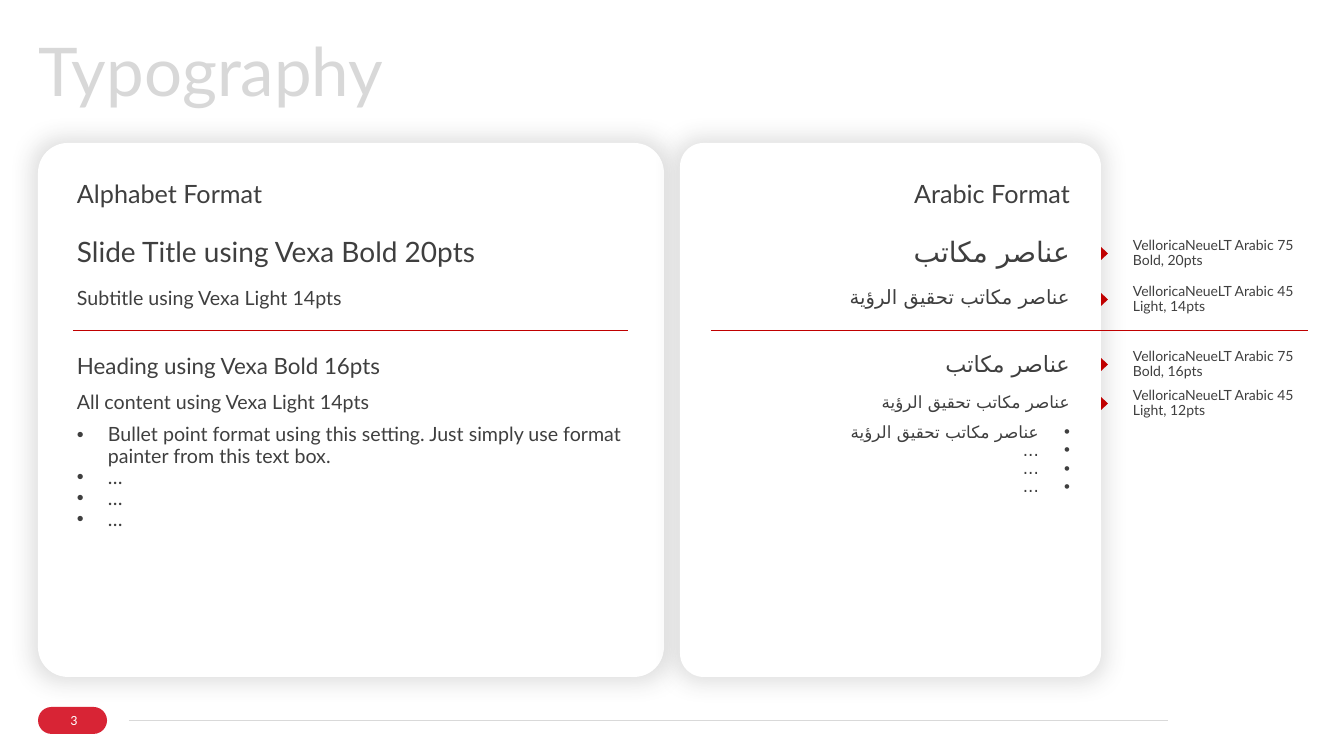
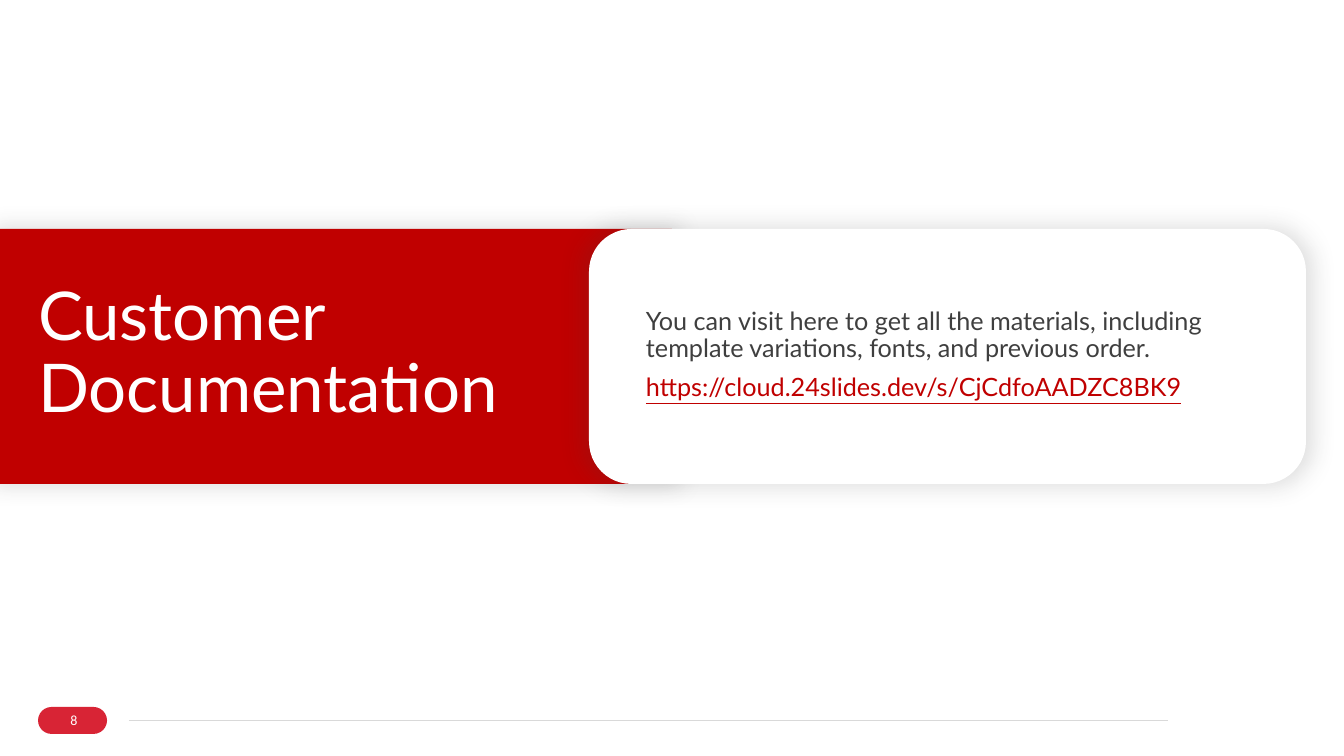
from lxml import etree
from pptx import Presentation
from pptx import util as u
from pptx.dml.color import RGBColor
from pptx.enum import shapes, text
from pptx.oxml import ns

PX = 914400 / 100.8
COLORS = {
    "ink": "3F3F3F", "red": "C00000", "pill": "D82435",
    "title": "D8D8D8", "rule": "D9D9D9", "white": "FFFFFF",
}
LATIN, ARABIC, ARABIC_SCRIPT = "Lato", "Roboto", "DejaVu Sans"
LEFT, CENTER, RIGHT = text.PP_ALIGN.LEFT, text.PP_ALIGN.CENTER, text.PP_ALIGN.RIGHT
TOP, MIDDLE = text.MSO_ANCHOR.TOP, text.MSO_ANCHOR.MIDDLE
MARGIN = 38
INDENT = 31
CARD_RADIUS = 0.056
# Row tops and the rule are measured from the top of a card.
RULE_TOP = 187
LABEL_LEFT, LABEL_WIDTH, LABEL_HEIGHT = 1133, 172, 31

ALPHABET_ROWS = [
    (39, 28, "Alphabet Format", 18),
    (95, 31, "Slide Title using Vexa Bold 20pts", 20),
    (146, 22, "Subtitle using Vexa Light 14pts", 14),
    (212, 25, "Heading using Vexa Bold 16pts", 16),
    (250, 22, "All content using Vexa Light 14pts", 14),
]
ALPHABET_BULLETS = (282, 108, [
    "Bullet point format using this setting. Just simply use format painter from this text box.",
    "…", "…", "…"], 14)
ARABIC_ROWS = [
    (39, 28, "Arabic Format", 18, LATIN),
    (95, 31, "عناصر مكاتب", 20, ARABIC),
    (145, 22, "عناصر مكاتب تحقيق الرؤية", 14, ARABIC),
    (210, 25, "عناصر مكاتب", 16, LATIN),
    (251, 19, "عناصر مكاتب تحقيق الرؤية", 12, ARABIC),
]
ARABIC_BULLETS = (281, 74, ["عناصر مكاتب تحقيق الرؤية", "...", "...", "..."], 12)
# Middle of each label, measured from the top of the card.
FONT_LABELS = [
    (110, "VelloricaNeueLT Arabic 75 Bold, 20pts"),
    (156, "VelloricaNeueLT Arabic 45 Light, 14pts"),
    (221, "VelloricaNeueLT Arabic 75 Bold, 16pts"),
    (260, "VelloricaNeueLT Arabic 45 Light, 12pts"),
]


def px(length):
    return u.Emu(round(length * PX))


def rgb(name):
    return RGBColor.from_string(COLORS[name])


def add_bullet(para, rtl):
    props = para._p.get_or_add_pPr()
    props.set("marL", str(px(INDENT)))
    props.set("indent", str(-px(INDENT)))
    if rtl:
        props.set("rtl", "1")
    etree.SubElement(props, ns.qn("a:buFont"), typeface="Arial")
    etree.SubElement(props, ns.qn("a:buChar"), char="•")


def fill_text(shape, lines, size, color="ink", font=LATIN, align=LEFT, anchor=TOP,
              bullets=False, underline=None, grow=True):
    frame = shape.text_frame
    frame.word_wrap = True
    frame.auto_size = (text.MSO_AUTO_SIZE.SHAPE_TO_FIT_TEXT if grow
                       else text.MSO_AUTO_SIZE.NONE)
    frame.vertical_anchor = anchor
    frame.margin_left = frame.margin_top = frame.margin_right = frame.margin_bottom = 0
    frame.text = "\n".join(lines)
    for para in frame.paragraphs:
        para.alignment = align
        para.line_spacing = 0.9
        if bullets:
            add_bullet(para, align == RIGHT)
        for span in para.runs:
            span.font.size = u.Pt(size)
            span.font.name = font
            span.font.underline = underline
            span.font.color.rgb = rgb(color)
            if align == RIGHT:
                etree.SubElement(span._r.get_or_add_rPr(), ns.qn("a:cs"),
                                 typeface=ARABIC_SCRIPT)


def add_text(page, box, lines, size, **style):
    shape = page.shapes.add_textbox(*map(px, box))
    fill_text(shape, lines, size, **style)


def add_block(page, kind, box, color, radius=None, glow=False):
    """Add a borderless shape; glow gives it a soft shadow on all sides."""
    shape = page.shapes.add_shape(kind, *map(px, box))
    shape.shadow.inherit = False
    shape.fill.solid()
    shape.fill.fore_color.rgb = rgb(color)
    shape.line.fill.background()
    if radius is not None:
        shape.adjustments[0] = radius
    if glow:
        effects = shape._element.spPr.find(ns.qn("a:effectLst"))
        shadow = etree.SubElement(effects, ns.qn("a:outerShdw"), blurRad=str(u.Pt(16)),
                                  dist="0", dir="0", sx="102000", sy="102000",
                                  algn="ctr", rotWithShape="0")
        tint = etree.SubElement(shadow, ns.qn("a:srgbClr"), val=COLORS["ink"])
        etree.SubElement(tint, ns.qn("a:alpha"), val="16000")
    return shape


def add_rule(page, left, right, top, color):
    rule = page.shapes.add_connector(shapes.MSO_CONNECTOR.STRAIGHT,
                                     px(left), px(top), px(right), px(top))
    rule.line.color.rgb = rgb(color)
    rule.line.width = u.Pt(0.5)
    etree.SubElement(rule._element.spPr, ns.qn("a:effectLst"))


def add_footer(page, number):
    add_rule(page, 129, 1168, 720, "rule")
    add_block(page, shapes.MSO_SHAPE.ROUNDED_RECTANGLE, (MARGIN, 707, 69, 27), "pill", 0.5)
    add_text(page, (54, 711, 40, 19), [number], 10, color="white", font="Calibri",
             align=CENTER, anchor=MIDDLE, grow=False)


def place_title(page, box, title, color):
    shape = page.shapes.title
    shape.left, shape.top, shape.width, shape.height = map(px, box)
    fill_text(shape, [title], 48, color=color)


def add_format_card(page, box, pad, rows, bullets, rule_span, align=LEFT, bullet_font=LATIN):
    left, top, width, _ = box
    add_block(page, shapes.MSO_SHAPE.ROUNDED_RECTANGLE, box, "white", CARD_RADIUS, glow=True)
    for offset, height, line, size, *font in rows:
        add_text(page, (left + pad, top + offset, width - 2 * pad, height), [line], size,
                 font=font[0] if font else LATIN, align=align)
    offset, height, lines, size = bullets
    add_text(page, (left + pad, top + offset, width - 2 * pad, height), lines, size,
             font=bullet_font, align=align, bullets=True)
    start, end = rule_span
    add_rule(page, left + start, left + end, top + RULE_TOP, "red")


def add_font_labels(page, box):
    """Mark the right edge of the card with arrows, each with a font label."""
    left, top, width, _ = box
    arrow_width, arrow_height = 13, 7
    for offset, label in FONT_LABELS:
        middle = top + offset
        arrow = add_block(page, shapes.MSO_SHAPE.ISOSCELES_TRIANGLE,
                          (left + width - 3, middle - arrow_height // 2,
                           arrow_width, arrow_height), "red")
        arrow.rotation = 90
        add_text(page, (LABEL_LEFT, middle - LABEL_HEIGHT // 2, LABEL_WIDTH, LABEL_HEIGHT),
                 [label], 10, anchor=MIDDLE)


def build_typography(page):
    alphabet_box = (MARGIN, 143, 626, 534)
    arabic_box = (680, 143, 421, 534)
    add_footer(page, "3")
    place_title(page, (MARGIN, MARGIN, 1268, 76), "Typography", "title")
    add_format_card(page, alphabet_box, 39, ALPHABET_ROWS, ALPHABET_BULLETS, (35, 590))
    add_format_card(page, arabic_box, 31, ARABIC_ROWS, ARABIC_BULLETS, (31, 628),
                    align=RIGHT, bullet_font=ARABIC)
    add_font_labels(page, arabic_box)


def build_documentation(page):
    band_top, band_height = 229, 255
    card_left = 589
    text_left, text_width = card_left + 57, 607
    add_footer(page, "8")
    add_block(page, shapes.MSO_SHAPE.RECTANGLE, (0, band_top, 672, band_height),
              "red", glow=True)
    add_block(page, shapes.MSO_SHAPE.ROUNDED_RECTANGLE,
              (card_left, band_top, 717, band_height), "white", glow=True)
    place_title(page, (MARGIN, band_top + 53, 518, 148), "Customer Documentation", "white")
    # The title lies over the band, so it follows the band in the drawing order.
    title = page.shapes.title._element
    title.getparent().append(title)
    add_text(page, (text_left, band_top + 80, text_width, 55),
             ["You can visit here to get all the materials, including template variations, "
              "fonts, and previous order."], 18)
    add_text(page, (text_left, band_top + 146, text_width, 28),
             ["https://cloud.24slides.dev/s/CjCdfoAADZC8BK9"], 18, color="red", underline=True)


def main():
    deck = Presentation()
    deck.slide_width, deck.slide_height = px(1344), px(756)
    title_only = deck.slide_layouts[5]
    for build in (build_typography, build_documentation):
        build(deck.slides.add_slide(title_only))
    deck.save("out.pptx")


if __name__ == "__main__":
    main()
